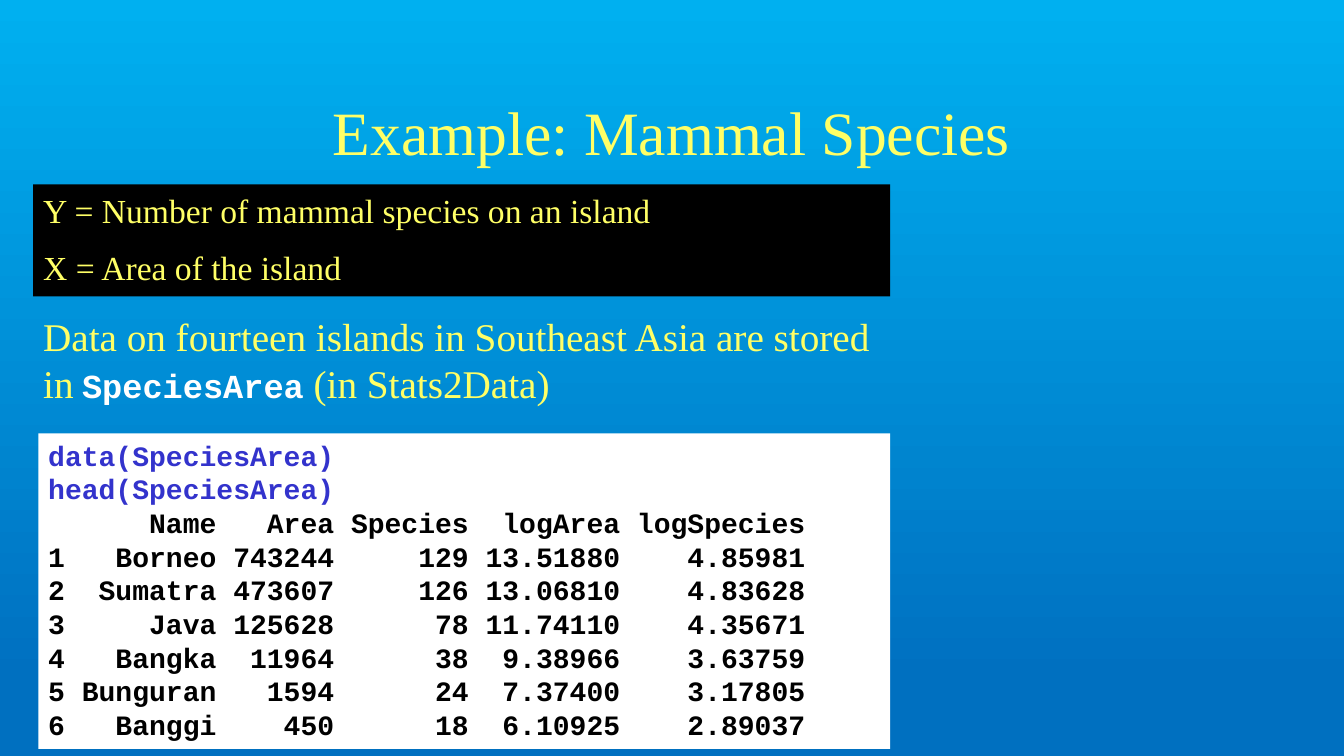
from dataclasses import dataclass

from lxml import etree
from pptx import Presentation
from pptx.dml.color import RGBColor
from pptx.enum.shapes import MSO_SHAPE
from pptx.enum.text import MSO_ANCHOR, MSO_AUTO_SIZE, PP_ALIGN
from pptx.oxml.ns import qn
from pptx.util import Inches, Pt

RECTANGLE = MSO_SHAPE.RECTANGLE
TOP, MIDDLE = MSO_ANCHOR.TOP, MSO_ANCHOR.MIDDLE
FIT_SHAPE, NO_FIT = MSO_AUTO_SIZE.SHAPE_TO_FIT_TEXT, MSO_AUTO_SIZE.NONE
CENTER, LEFT = PP_ALIGN.CENTER, PP_ALIGN.LEFT


@dataclass(frozen=True)
class Theme:
    serif: str = "Times New Roman"
    mono: str = "Courier New"
    yellow: str = "FFFF66"
    white: str = "FFFFFF"
    black: str = "000000"
    command: str = "3333CC"
    sky: str = "00B0F0"
    ocean: str = "0070C0"
    title_size: int = 44
    lead_size: int = 28
    text_size: int = 24
    code_size: int = 20


THEME = Theme()

TITLE = "Example: Mammal Species"
VARIABLES = ["Y = Number of mammal species on an island", "X = Area of the island"]
SOURCE_INTRO = "Data on fourteen islands in Southeast Asia are stored in"
DATASET = "SpeciesArea"
SOURCE_PACKAGE = "(in Stats2Data)"
COMMANDS = [f"data({DATASET})", f"head({DATASET})"]
CONSOLE_ROWS = [
    ("", "Name", "Area", "Species", "logArea", "logSpecies"),
    ("1", "Borneo", "743244", "129", "13.51880", "4.85981"),
    ("2", "Sumatra", "473607", "126", "13.06810", "4.83628"),
    ("3", "Java", "125628", "78", "11.74110", "4.35671"),
    ("4", "Bangka", "11964", "38", "9.38966", "3.63759"),
    ("5", "Bunguran", "1594", "24", "7.37400", "3.17805"),
    ("6", "Banggi", "450", "18", "6.10925", "2.89037"),
]

SLIDE_WIDTH, SLIDE_HEIGHT = 13.33, 7.5
MARGIN, COLUMN_WIDTH = 0.33, 8.5
CONSOLE_INDENT = 0.05
TITLE_BOX = (1, 0.67, SLIDE_WIDTH - 2, 1.25)
VARIABLES_BOX = (MARGIN, 1.83, COLUMN_WIDTH, 1.11)
SOURCE_BOX = (MARGIN, 3.05, COLUMN_WIDTH, 1.04)
CONSOLE_BOX = (MARGIN + CONSOLE_INDENT, 4.3, COLUMN_WIDTH - CONSOLE_INDENT, 3.13)


def console_lines(rows):
    """Right-align every column to its widest entry, as R prints a data frame."""
    widths = [max(map(len, column)) for column in zip(*rows)]
    return [" ".join(cell.rjust(width) for cell, width in zip(row, widths)) for row in rows]


def serif(text, size, color=THEME.yellow):
    return text, THEME.serif, size, color, False


def mono(text, size, color):
    return text, THEME.mono, size, color, True


def write(shape, paragraphs, align=LEFT, anchor=TOP, fit=FIT_SHAPE, space_before=0):
    """Fill a shape with paragraphs of runs; space_before is a percentage of the line."""
    frame = shape.text_frame
    frame.word_wrap = True
    frame.auto_size = fit
    frame.vertical_anchor = anchor
    for index, runs in enumerate(paragraphs):
        paragraph = frame.add_paragraph() if index else frame.paragraphs[0]
        paragraph.alignment = align
        if space_before:
            properties = paragraph._p.get_or_add_pPr()
            spacing = etree.SubElement(properties, qn("a:spcBef"))
            etree.SubElement(spacing, qn("a:spcPct"), val=str(space_before * 1000))
        for text, font, size, color, bold in runs:
            run = paragraph.add_run()
            run.text = text
            run.font.name = font
            run.font.size = Pt(size)
            run.font.bold = bold
            run.font.color.rgb = RGBColor.from_string(color)


def add_panel(slide, box, fill):
    panel = slide.shapes.add_shape(RECTANGLE, *map(Inches, box))
    panel.shadow.inherit = False
    panel.fill.solid()
    panel.fill.fore_color.rgb = RGBColor.from_string(fill)
    panel.line.fill.background()
    return panel


def paint_background(slide):
    fill = slide.background.fill
    fill.gradient()
    fill.gradient_angle = 270
    for stop, position, color in zip(fill.gradient_stops, (0, 0.9), (THEME.sky, THEME.ocean)):
        stop.position = position
        stop.color.rgb = RGBColor.from_string(color)


def main():
    presentation = Presentation()
    presentation.slide_width = Inches(SLIDE_WIDTH)
    presentation.slide_height = Inches(SLIDE_HEIGHT)
    slide = presentation.slides.add_slide(presentation.slide_layouts[5])
    paint_background(slide)

    title = slide.shapes.title
    title.left, title.top, title.width, title.height = map(Inches, TITLE_BOX)
    write(title, [[serif(TITLE, THEME.title_size)]], CENTER, MIDDLE, NO_FIT)

    variables = add_panel(slide, VARIABLES_BOX, THEME.black)
    write(variables, [[serif(line, THEME.text_size)] for line in VARIABLES], space_before=50)

    source = slide.shapes.add_textbox(*map(Inches, SOURCE_BOX))
    sentence = [
        serif(SOURCE_INTRO, THEME.lead_size),
        serif(" ", THEME.text_size),
        mono(DATASET, THEME.text_size, THEME.white),
        serif(" " + SOURCE_PACKAGE, THEME.lead_size),
    ]
    write(source, [sentence], space_before=50)

    console = add_panel(slide, CONSOLE_BOX, THEME.white)
    commands = [[mono(line, THEME.code_size, THEME.command)] for line in COMMANDS]
    output = [[mono(line, THEME.code_size, THEME.black)] for line in console_lines(CONSOLE_ROWS)]
    write(console, commands + output)

    presentation.save("out.pptx")


if __name__ == "__main__":
    main()
